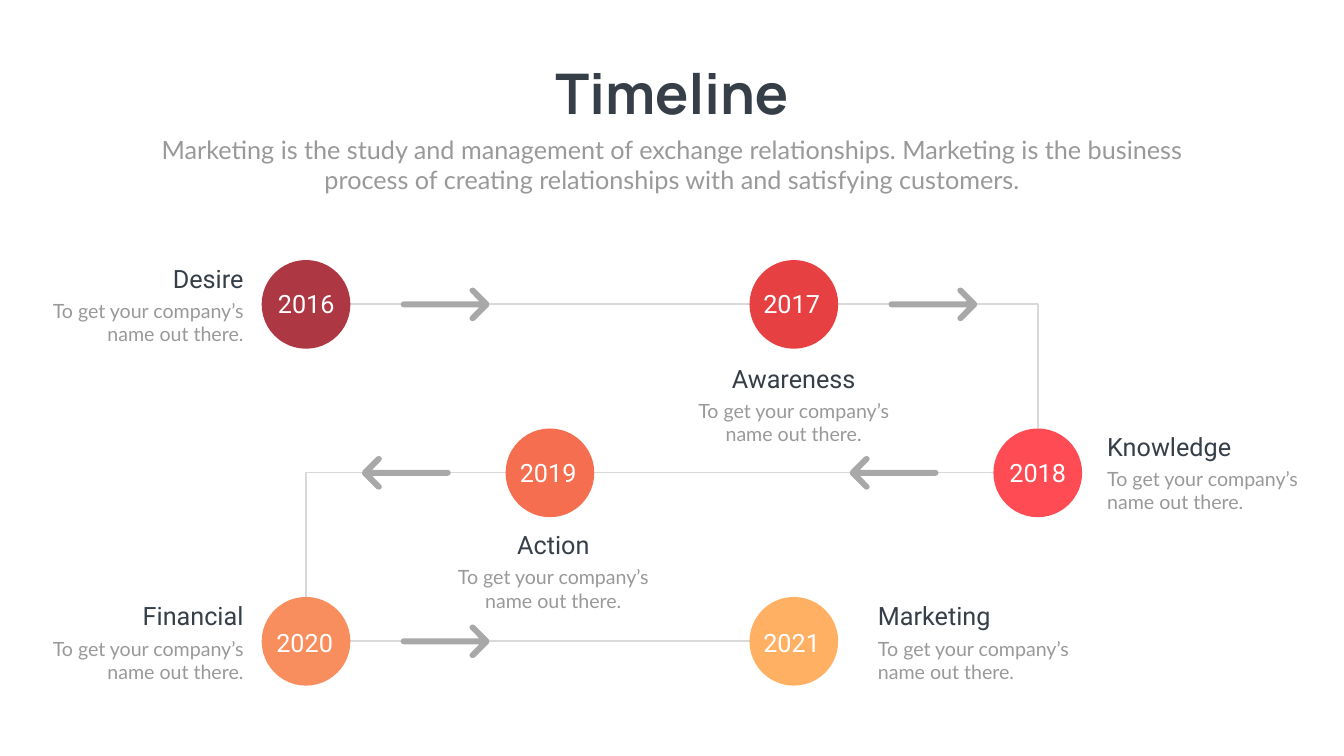
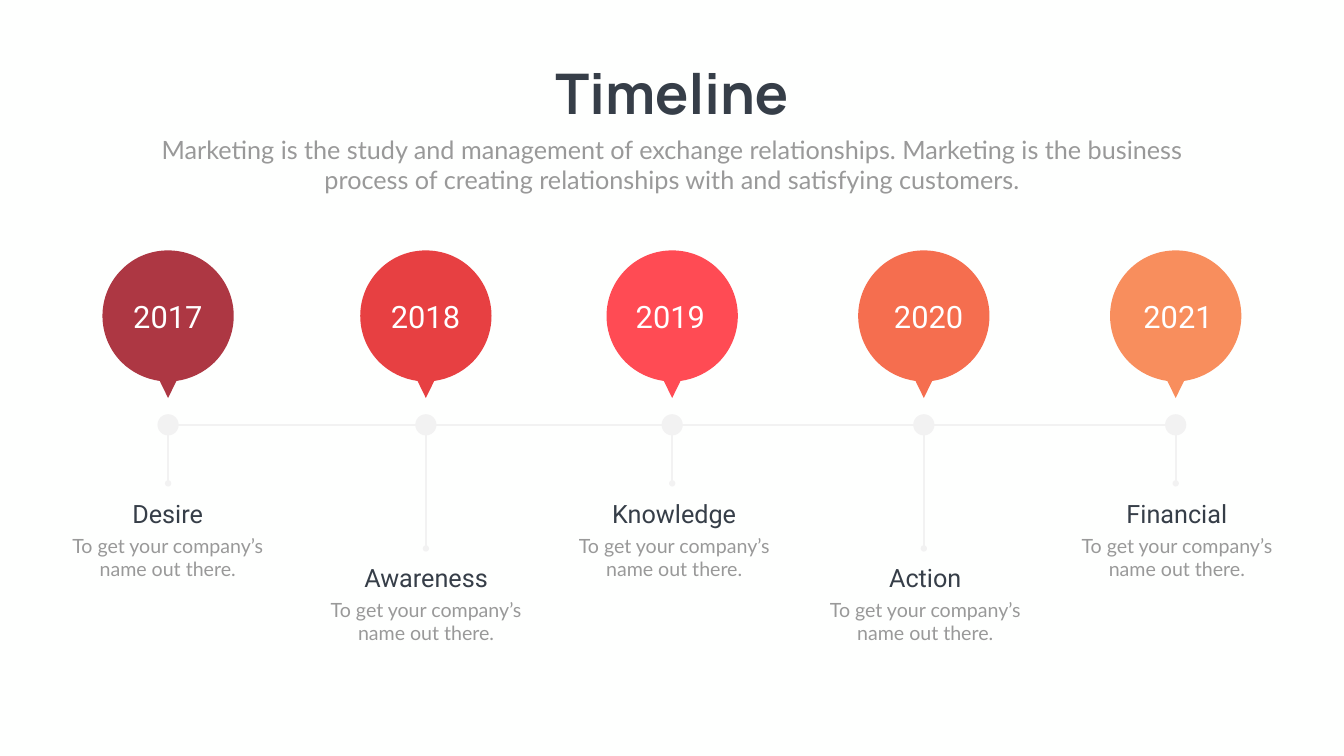
"""Build two timeline slides: a winding path of years and a row of pins."""
from lxml.etree import SubElement
from pptx import Presentation
from pptx.dml.color import RGBColor
from pptx.enum.shapes import MSO_CONNECTOR, MSO_SHAPE
from pptx.enum.text import MSO_ANCHOR, MSO_AUTO_SIZE, PP_ALIGN
from pptx.oxml.ns import qn
from pptx.util import Cm, Pt

COLORS = {
    "background": "FEFFFE", "ink": "363E48", "muted": "999999", "white": "FFFFFF",
    "path": "D9D9D9", "arrow": "A8A8A8", "axis": "F2F2F2",
    "wine": "AD3743", "red": "E74042", "coral": "FF4B54",
    "orange": "F56E4F", "peach": "F88E5D", "amber": "FFB063",
}
LEFT, CENTER, RIGHT = PP_ALIGN.LEFT, PP_ALIGN.CENTER, PP_ALIGN.RIGHT

TITLE = "Timeline"
INTRO = ("Marketing is the study and management of exchange relationships. "
         "Marketing is the business process of creating relationships with "
         "and satisfying customers.")
DETAIL = "To get your company’s name out there."

# year, name, colour, column, row, direction, year offset, caption alignment and offset
STOPS = [
    ("2016", "Desire", "wine", 0, 0, 1, (0.01, -0.02), RIGHT, (-2.9, -2.21)),
    ("2017", "Awareness", "red", 2, 0, 1, (-0.11, -0.02), CENTER, (-0.01, 2.82)),
    ("2018", "Knowledge", "coral", 3, 1, -1, (0, -0.02), LEFT, (3.25, -2.24)),
    ("2019", "Action", "orange", 1, 1, -1, (-0.09, -0.02), CENTER, (0.17, 2.74)),
    ("2020", "Financial", "peach", 0, 2, 1, (-0.07, 0.05), RIGHT, (-2.9, -2.17)),
    ("2021", "Marketing", "amber", 2, 2, 0, (-0.11, 0.05), LEFT, (3.99, -2.17)),
]
# year, name, colour, pin centre, year centre, caption centre, level
PINS = [
    ("2017", "Desire", "wine", 8.47, 8.46, 8.45, "high"),
    ("2018", "Awareness", "red", 21.46, 21.44, 21.47, "low"),
    ("2019", "Knowledge", "coral", 33.87, 33.78, 33.97, "high"),
    ("2020", "Action", "orange", 46.55, 46.79, 46.62, "low"),
    ("2021", "Financial", "peach", 59.24, 59.36, 59.3, "high"),
]
STEM_ENDS = {"high": 24.36, "low": 27.64}
CAPTION_TOPS = {"high": 24.97, "low": 28.19}

COLUMN_START, COLUMN_STEP = 15.42, 12.29
ROW_START, ROW_STEP = 15.34, 8.49
CIRCLE, LINE_LIFT = 4.47, 0.02
ARROW_GAP = {1: 4.77, -1: 5.0}
PIN_TOP, PIN_YEAR, AXIS, STEM_TOP, DOT = 12.62, 15.95, 21.41, 21.72, 1.07

# Half outlines: two numbers for a corner, six for a curve
ARROW_HALF = [
    (0, 0), (0, -0.08, 0.06, -0.15, 0.15, -0.15), (3.96, -0.15), (3.51, -0.61),
    (3.45, -0.67, 3.45, -0.75, 3.52, -0.81),
    (3.58, -0.86, 3.68, -0.86, 3.73, -0.81),
    (4.43, -0.11), (4.46, -0.08, 4.47, -0.04, 4.47, 0),
]
ARROW_BOX = (0, -0.85, 4.47, 1.7)
PIN_HALF = [
    (0, 0), (0.84, 0, 1.69, 0.31, 2.34, 0.97),
    (3.63, 2.26, 3.63, 4.34, 2.34, 5.64),
    (1.8, 6.17, 1.12, 6.48, 0.42, 6.58), (0, 7.44),
]
PIN_BOX = (-3.31, 0, 6.62, 7.44)


def color(name):
    return RGBColor.from_string(COLORS[name])


def format_text(frame, text, size, font, ink, align=CENTER, bold=False):
    frame.text = text
    frame.word_wrap = True
    frame.vertical_anchor = MSO_ANCHOR.TOP
    frame.auto_size = MSO_AUTO_SIZE.SHAPE_TO_FIT_TEXT
    paragraph = frame.paragraphs[0]
    paragraph.alignment = align
    paragraph.space_before = Pt(0)
    face = paragraph.runs[0].font
    face.size, face.name, face.bold = Pt(size), font, bold
    face.color.rgb = color(ink)


def add_text(shapes, x, y, width, height, *style):
    box = shapes.add_textbox(Cm(x), Cm(y), Cm(width), Cm(height))
    format_text(box.text_frame, *style)


def add_year(slide, year, x, y, width, height, size):
    add_text(slide.shapes, x - width / 2, y - height / 2, width, height,
             year, size, "Roboto", "white")


def add_caption(slide, name, x, y, align=CENTER):
    shapes = slide.shapes.add_group_shape().shapes
    share = {LEFT: 0, CENTER: 0.5, RIGHT: 1}[align]
    add_text(shapes, x - 11.66 * share, y + 1.8, 11.66, 2.64,
             DETAIL, 28, "Lato", "muted", align)
    add_text(shapes, x - 10.16 * share, y, 10.16, 1.8,
             name, 36, "Roboto", "ink", align)


def paint(shape, fill):
    shape.shadow.inherit = False
    shape.fill.solid()
    shape.fill.fore_color.rgb = color(fill)
    shape.line.fill.background()


def add_circle(slide, x, y, size, fill):
    paint(slide.shapes.add_shape(MSO_SHAPE.OVAL, Cm(x - size / 2), Cm(y - size / 2),
                                 Cm(size), Cm(size)), fill)


def add_line(slide, start, end, stroke, width, elbow=False, oval=False):
    kind = MSO_CONNECTOR.ELBOW if elbow else MSO_CONNECTOR.STRAIGHT
    line = slide.shapes.add_connector(kind, *map(Cm, start + end))
    line.line.color.rgb = color(stroke)
    line.line.width = Pt(width)
    properties = line._element.spPr
    if elbow:
        properties.find(qn("a:prstGeom")).set("prst", "bentConnector2")
    if oval:
        SubElement(properties.find(qn("a:ln")), qn("a:headEnd"), type="oval")
    SubElement(properties, qn("a:effectLst"))


def pairs(part):
    return list(zip(part[::2], part[1::2]))


def full_outline(half, mirror):
    parts = [pairs(part) for part in half]
    back = []
    for before, part in zip(parts[-2::-1], parts[:0:-1]):
        knots = part[-2::-1] + [before[-1]]
        back.append([(x * mirror[0], y * mirror[1]) for x, y in knots])
    return parts + back


def place(shape, x, y, width, height):
    shape.left, shape.top, shape.width, shape.height = map(Cm, (x, y, width, height))


def add_outline(slide, x, y, half, box, mirror, fill, direction=1):
    box_x, box_y, width, height = box
    left = x + (box_x if direction > 0 else -box_x - width)
    top = y + box_y
    parts = [[(Cm(x + px * direction - left), Cm(y + py - top)) for px, py in part]
             for part in full_outline(half, mirror)]
    builder = slide.shapes.build_freeform(*parts[0][0])
    builder.add_line_segments([part[-1] for part in parts[1:]], close=True)
    shape = builder.convert_to_shape()
    place(shape, left, top, width, height)
    path = next(shape._element.iter(qn("a:path")))
    path.set("w", str(Cm(width)))
    path.set("h", str(Cm(height)))
    for step in list(path):
        path.remove(step)
    for index, part in enumerate(parts):
        tag = "a:moveTo" if index == 0 else "a:cubicBezTo" if len(part) == 3 else "a:lnTo"
        step = SubElement(path, qn(tag))
        for px, py in part:
            SubElement(step, qn("a:pt"), x=str(px), y=str(py))
    SubElement(path, qn("a:close"))
    paint(shape, fill)


def add_slide(prs):
    slide = prs.slides.add_slide(prs.slide_layouts[0])
    title, intro = slide.shapes.title, slide.placeholders[1]
    place(title, 27.28, 2.84, 13.16, 3.68)
    format_text(title.text_frame, TITLE, 80, "Manrope", "ink", bold=True)
    title.text_frame.word_wrap = False
    place(intro, 7.42, 6.63, 52.88, 3.33)
    format_text(intro.text_frame, INTRO, 36, "Lato", "muted")
    return slide


def build_path(slide):
    centers = [(COLUMN_START + column * COLUMN_STEP, ROW_START + row * ROW_STEP)
               for _, _, _, column, row, *_ in STOPS]
    radius = CIRCLE / 2
    for stop, (x, y), (next_x, next_y) in zip(STOPS, centers, centers[1:]):
        direction, level = stop[5], y - LINE_LIFT
        turns = next_y != y
        end = (next_x, next_y - radius) if turns else (next_x - direction * radius, level)
        add_line(slide, (x + direction * radius, level), end, "path", 2.25, elbow=turns)
    for stop, (x, y) in zip(STOPS, centers):
        add_circle(slide, x, y, CIRCLE, stop[2])
    for stop, (x, y) in zip(STOPS[:-1], centers):
        direction = stop[5]
        add_outline(slide, x + direction * ARROW_GAP[direction], y,
                    ARROW_HALF, ARROW_BOX, (1, -1), "arrow", direction)
    for (_, name, *_, align, (dx, dy)), (x, y) in zip(STOPS, centers):
        add_caption(slide, name, x + dx, y + dy, align)
    for (year, *_, (dx, dy), _, _), (x, y) in zip(STOPS, centers):
        add_year(slide, year, x + dx, y + dy, 5.41, 1.8, 36)


def build_pins(slide):
    add_line(slide, (8.26, AXIS), (59.69, AXIS), "axis", 3)
    for _, _, fill, x, *_ in PINS:
        add_outline(slide, x, PIN_TOP, PIN_HALF, PIN_BOX, (-1, 1), fill)
        add_circle(slide, x, AXIS, DOT, "axis")
    for *_, x, _, _, level in PINS:
        add_line(slide, (x, STEM_ENDS[level]), (x, STEM_TOP), "axis", 3, oval=True)
    for _, name, *_, x, level in PINS:
        add_caption(slide, name, x, CAPTION_TOPS[level])
    for year, *_, x, _, _ in PINS:
        add_year(slide, year, x, PIN_YEAR, 6, 2.13, 44)


def main():
    prs = Presentation()
    prs.slide_width, prs.slide_height = Cm(67.72), Cm(38.1)
    backdrop = prs.slide_master.background.fill
    backdrop.solid()
    backdrop.fore_color.rgb = color("background")
    build_path(add_slide(prs))
    build_pins(add_slide(prs))
    prs.save("out.pptx")


if __name__ == "__main__":
    main()
